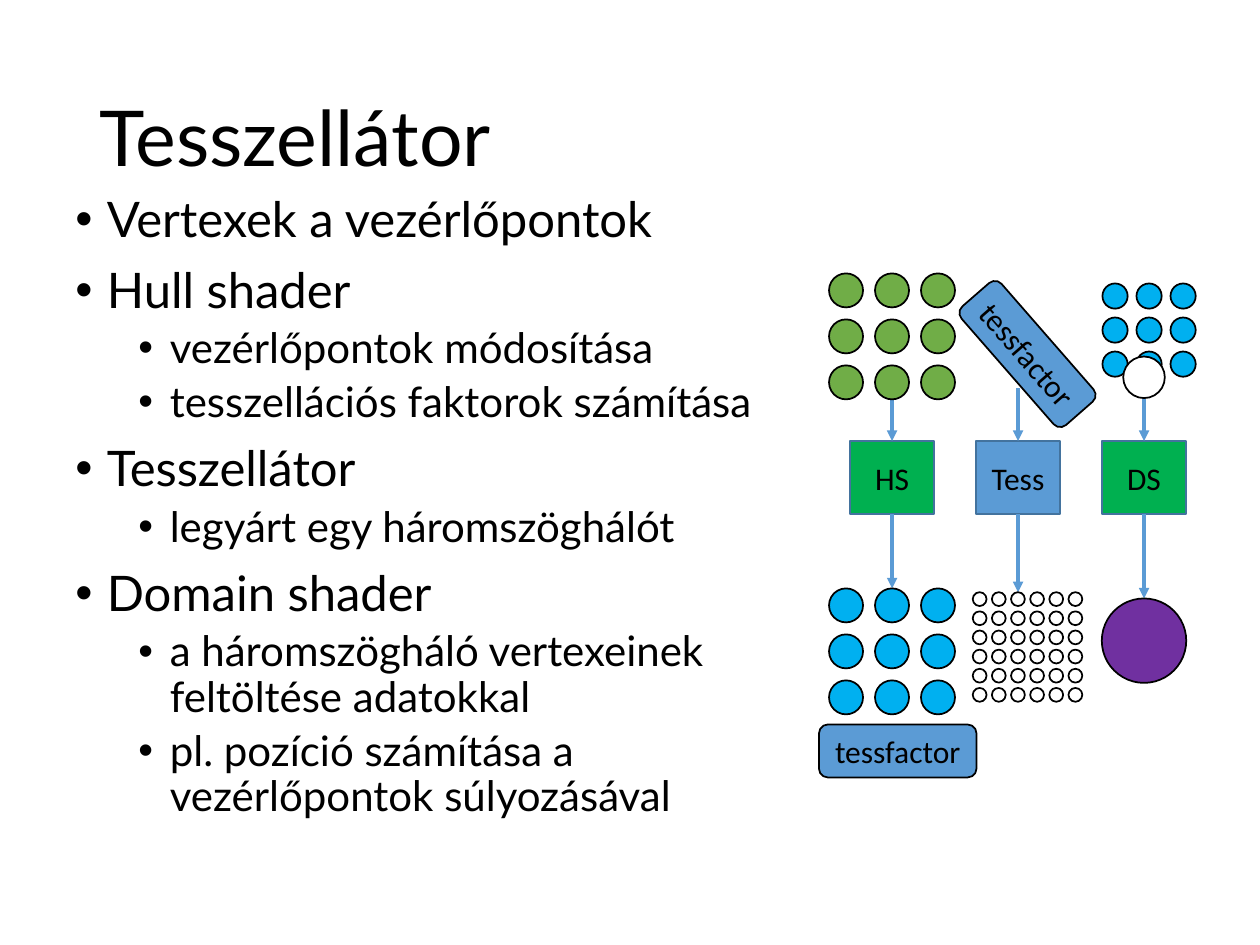
from itertools import product

from lxml.etree import SubElement
from pptx import Presentation
from pptx.dml.color import RGBColor
from pptx.enum.shapes import MSO_CONNECTOR, MSO_SHAPE
from pptx.enum.text import MSO_ANCHOR, PP_ALIGN
from pptx.oxml.ns import qn
from pptx.util import Inches, Pt

BLACK = RGBColor(0x00, 0x00, 0x00)
WHITE = RGBColor(0xFF, 0xFF, 0xFF)
BLUE = RGBColor(0x5B, 0x9B, 0xD5)
DARK_BLUE = RGBColor(0x43, 0x73, 0x9E)
SKY = RGBColor(0x00, 0xB0, 0xF0)
GREEN = RGBColor(0x00, 0xB0, 0x50)
LEAF = RGBColor(0x70, 0xAD, 0x47)
PURPLE = RGBColor(0x70, 0x30, 0xA0)

FIRST_COLUMN = 7.08  # centre of the first stage; stages are one inch apart
BOX_TOP, BOX_WIDTH, BOX_HEIGHT = 3.5, 0.67, 0.58

# Name, fill, start of the arrow going in, end of the arrow going out
STAGES = [
    ("HS", GREEN, 3.17, 4.67),
    ("Tess", BLUE, 3.08, 4.7),
    ("DS", GREEN, 3.17, 4.75),
]

# Left, top, dots per side, pitch, diameter, fill
DOT_GRIDS = [
    (8.75, 2.25, 3, 0.27, 0.2, SKY),
    (6.58, 4.67, 3, 0.365, 0.27, SKY),
    (6.58, 2.17, 3, 0.365, 0.27, LEAF),
    (7.72, 4.7, 6, 0.152, 0.11, WHITE),
]

# Outline level, text
OUTLINE = [
    (0, "Vertexek a vezérlőpontok"),
    (0, "Hull shader"),
    (1, "vezérlőpontok módosítása"),
    (1, "tesszellációs faktorok számítása"),
    (0, "Tesszellátor"),
    (1, "legyárt egy háromszöghálót"),
    (0, "Domain shader"),
    (1, "a háromszögháló vertexeinek feltöltése adatokkal"),
    (1, "pl. pozíció számítása a vezérlőpontok súlyozásával"),
]


def format_runs(paragraph, font_name, size):
    for run in paragraph.runs:
        run.font.name = font_name
        run.font.size = Pt(size)
        run.font.color.rgb = BLACK


def add_text_frame(slide, left, top, width, height):
    box = slide.shapes.add_textbox(*map(Inches, (left, top, width, height)))
    box.text_frame.word_wrap = True
    return box.text_frame


def add_title(slide, text):
    text_frame = add_text_frame(slide, 0.69, 0.4, 8.62, 1.45)
    text_frame.vertical_anchor = MSO_ANCHOR.MIDDLE
    text_frame.text = text
    paragraph = text_frame.paragraphs[0]
    paragraph.line_spacing = 0.9
    format_runs(paragraph, "Lato", 44)


def add_bullet(paragraph, left_margin):
    """Give the paragraph a hanging bullet."""
    properties = paragraph._p.get_or_add_pPr()
    properties.set("marL", str(Inches(left_margin)))
    properties.set("indent", str(Inches(-0.25)))
    SubElement(properties, qn("a:buFont"), typeface="Arial")
    SubElement(properties, qn("a:buChar"), char="•")


def add_outline(slide):
    text_frame = add_text_frame(slide, 0.5, 1.5, 6.17, 5.75)
    text_frame.text = "\n".join(text for _, text in OUTLINE)
    for paragraph, (level, _) in zip(text_frame.paragraphs, OUTLINE):
        paragraph.level = level
        paragraph.line_spacing = 0.9
        paragraph.space_before = Pt(5 if level else 10)
        add_bullet(paragraph, 0.25 + 0.5 * level)
        format_runs(paragraph, "Lato", 24 if level else 28)


def add_figure(slide, preset, left, top, width, height, fill, line=BLACK, text=""):
    shape = slide.shapes.add_shape(preset, *map(Inches, (left, top, width, height)))
    shape.shadow.inherit = False
    shape.fill.solid()
    shape.fill.fore_color.rgb = fill
    shape.line.color.rgb = line
    shape.line.width = Pt(1)
    if text:
        text_frame = shape.text_frame
        text_frame.text = text
        text_frame.vertical_anchor = MSO_ANCHOR.MIDDLE
        paragraph = text_frame.paragraphs[0]
        paragraph.alignment = PP_ALIGN.CENTER
        format_runs(paragraph, "Calibri", 18)
    return shape


def add_circle(slide, center_x, top, diameter, fill):
    add_figure(slide, MSO_SHAPE.OVAL, center_x - diameter / 2, top, diameter, diameter, fill)


def add_dot_grid(slide, left, top, count, pitch, diameter, fill):
    for row, column in product(range(count), repeat=2):
        add_figure(slide, MSO_SHAPE.OVAL, left + column * pitch, top + row * pitch,
                   diameter, diameter, fill)


def add_arrow(slide, x, start, end):
    arrow = slide.shapes.add_connector(
        MSO_CONNECTOR.STRAIGHT, *map(Inches, (x, start, x, end)))
    arrow.line.color.rgb = BLUE
    arrow.line.width = Pt(2)
    SubElement(arrow.line._get_or_add_ln(), qn("a:tailEnd"), type="triangle")
    SubElement(arrow._element.spPr, qn("a:effectLst"))
    return arrow


def add_stage(slide, center_x, name, fill, arrow_start, arrow_end):
    """Add a pipeline box with one arrow going in and one going out."""
    box = add_figure(slide, MSO_SHAPE.RECTANGLE, center_x - BOX_WIDTH / 2, BOX_TOP,
                     BOX_WIDTH, BOX_HEIGHT, fill, DARK_BLUE, name)
    add_arrow(slide, center_x, arrow_start, BOX_TOP).end_connect(box, 0)
    add_arrow(slide, center_x, BOX_TOP + BOX_HEIGHT, arrow_end).begin_connect(box, 2)


def add_factor_label(slide, left, top, rotation=0):
    label = add_figure(slide, MSO_SHAPE.ROUNDED_RECTANGLE, left, top, 1.25, 0.42,
                       BLUE, text="tessfactor")
    label.rotation = rotation


def main():
    presentation = Presentation()
    presentation.slide_width = Inches(10)
    presentation.slide_height = Inches(7.5)
    slide = presentation.slides.add_slide(presentation.slide_layouts[6])

    add_title(slide, "Tesszellátor")
    add_outline(slide)
    for index, stage in enumerate(STAGES):
        add_stage(slide, FIRST_COLUMN + index, *stage)
    for grid in DOT_GRIDS:
        add_dot_grid(slide, *grid)
    add_factor_label(slide, 6.5, 5.75)
    add_factor_label(slide, 7.53, 2.6, rotation=48.9)
    last_column = FIRST_COLUMN + len(STAGES) - 1
    add_circle(slide, last_column, 2.83, 0.33, WHITE)
    add_circle(slide, last_column, 4.75, 0.67, PURPLE)

    presentation.save("out.pptx")


if __name__ == "__main__":
    main()
